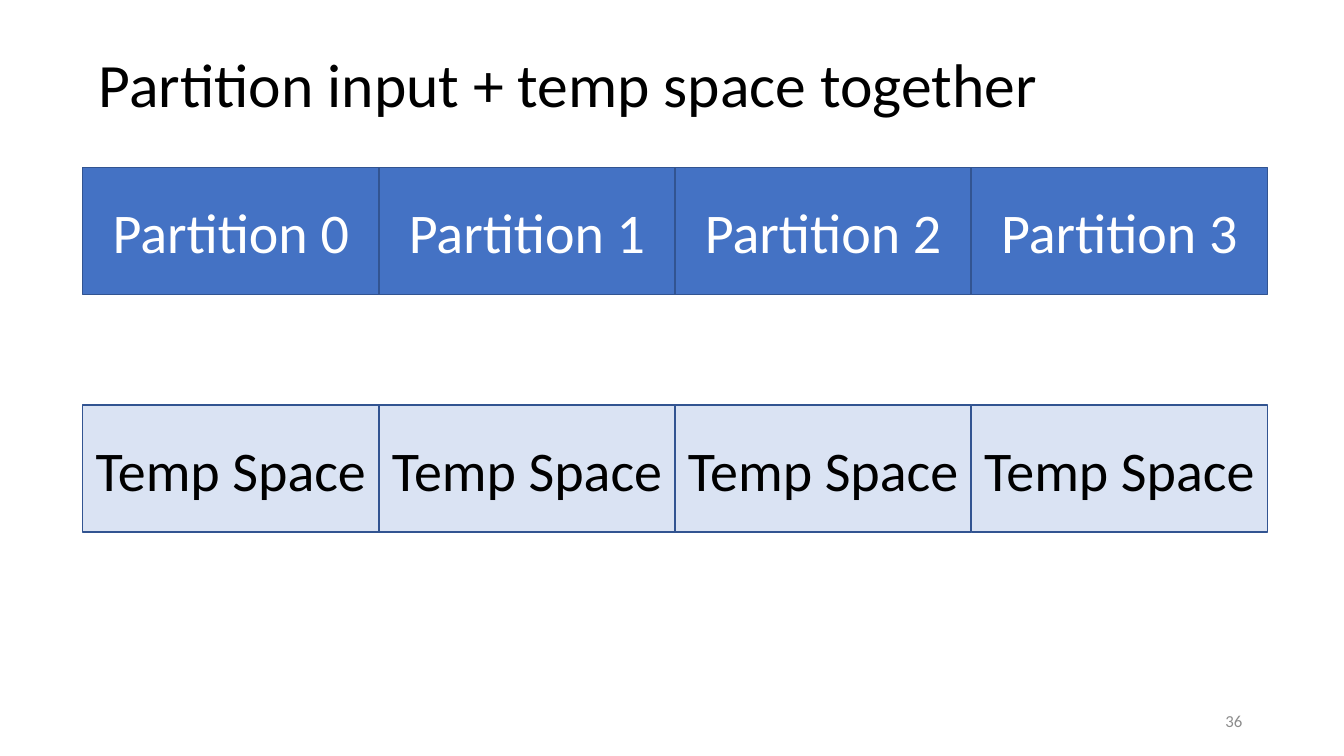
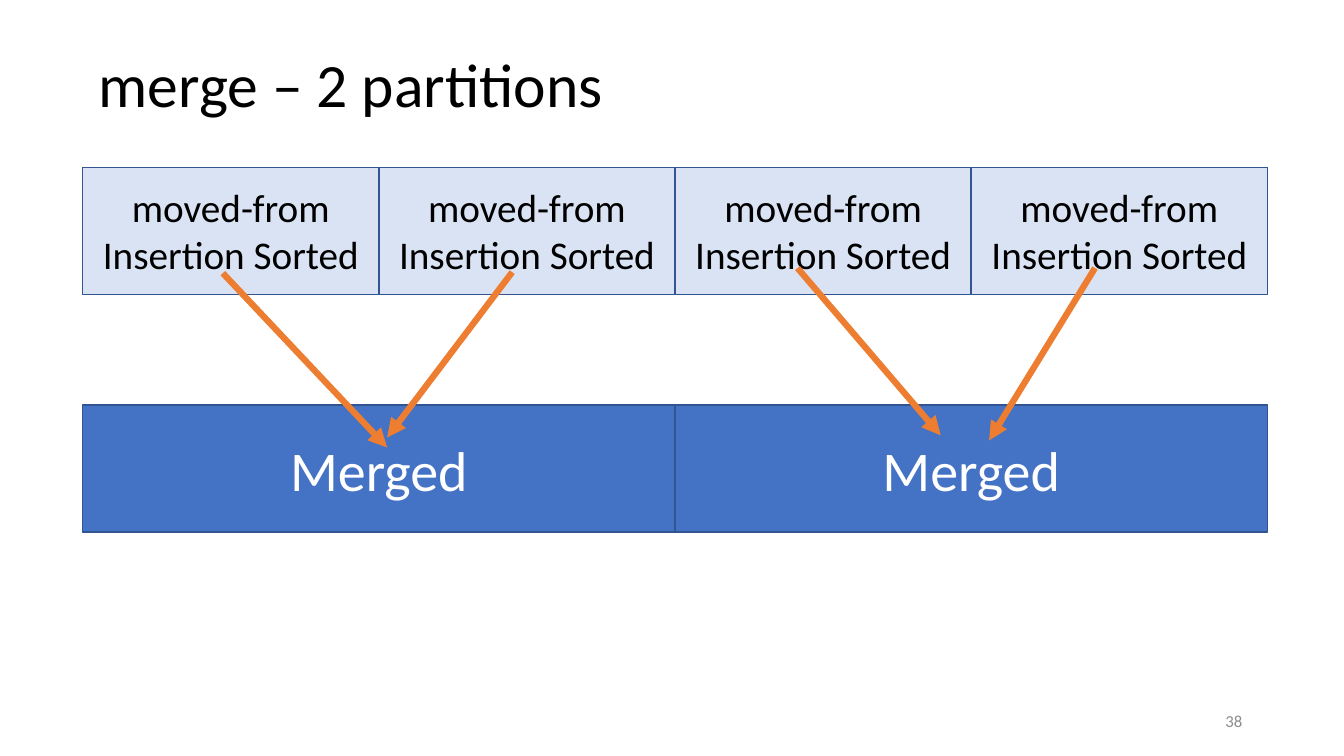
"""Build two slides on partitioning an input and merging its sorted parts."""
from lxml import etree
from pptx import Presentation
from pptx.dml.color import RGBColor
from pptx.enum.shapes import MSO_CONNECTOR, MSO_SHAPE
from pptx.enum.text import MSO_ANCHOR, MSO_AUTO_SIZE, PP_ALIGN
from pptx.oxml.ns import qn
from pptx.util import Inches, Pt

RECTANGLE, STRAIGHT = MSO_SHAPE.RECTANGLE, MSO_CONNECTOR.STRAIGHT
TOP, MIDDLE, NO_FIT = MSO_ANCHOR.TOP, MSO_ANCHOR.MIDDLE, MSO_AUTO_SIZE.NONE
LEFT, CENTER, RIGHT = PP_ALIGN.LEFT, PP_ALIGN.CENTER, PP_ALIGN.RIGHT

FONT = "Calibri"
BLACK, WHITE, GRAY = "000000", "FFFFFF", "8C8C8C"
BLUE, PALE, OUTLINE, ORANGE = "4472C4", "DAE3F3", "325491", "ED7D31"
SLIDE_WIDTH, SLIDE_HEIGHT = 13.33, 7.5
GRID_LEFT, GRID_WIDTH = 0.82, 11.75
BAND_HEIGHT = 1.26
INPUT_TOP, TEMP_TOP = 1.66, 4.02
TITLE_BOX = (0.88, 0.41, 11.86, 0.84)
NUMBER_BOX = (9.42, 6.95, 3, 0.4)

STYLES = {
    "title": {"size": 44, "color": BLACK, "align": LEFT, "anchor": TOP},
    "number": {"size": 12, "color": GRAY, "align": RIGHT, "anchor": MIDDLE},
    "strong": {"size": 40, "color": WHITE, "fill": BLUE},
    "pale": {"size": 40, "color": BLACK, "fill": PALE},
    "pale small": {"size": 28, "color": BLACK, "fill": PALE},
}

SLIDES = [
    {
        "title": "Partition input + temp space together",
        "number": "36",
        "bands": [
            (TEMP_TOP, "pale", ["Temp Space"] * 4),
            (INPUT_TOP, "strong", [f"Partition {index}" for index in range(4)]),
        ],
        "arrows": [],
    },
    {
        "title": "merge – 2 partitions",
        "number": "38",
        "bands": [
            (TEMP_TOP, "strong", ["Merged"] * 2),
            (INPUT_TOP, "pale small", ["moved-from\nInsertion Sorted"] * 4),
        ],
        "arrows": [
            ((2.21, 2.71), (3.84, 4.44)),
            ((10.86, 2.66), (9.81, 4.37)),
            ((7.91, 2.66), (9.33, 4.32)),
            ((5.08, 2.7), (3.84, 4.34)),
        ],
    },
]


def rgb(value):
    """Turn a hex string into a colour."""
    return RGBColor.from_string(value)


def inches(lengths):
    """Turn numbers into lengths in inches."""
    return [Inches(length) for length in lengths]


def write(shape, text, style):
    """Put styled text into a shape."""
    frame = shape.text_frame
    frame.text = text
    frame_format = {
        "word_wrap": True,
        "auto_size": NO_FIT,
        "vertical_anchor": style.get("anchor", MIDDLE),
    }
    for name, value in frame_format.items():
        setattr(frame, name, value)
    font_format = {"name": FONT, "size": Pt(style["size"])}
    for paragraph in frame.paragraphs:
        paragraph.alignment = style.get("align", CENTER)
        for run in paragraph.runs:
            for name, value in font_format.items():
                setattr(run.font, name, value)
            run.font.color.rgb = rgb(style["color"])


def add_title(slide, text):
    """Move and fill the title placeholder."""
    title = slide.shapes.title
    places = zip(("left", "top", "width", "height"), inches(TITLE_BOX))
    for name, value in places:
        setattr(title, name, value)
    write(title, text, STYLES["title"])


def add_band(slide, top, style, labels):
    """Draw a row of equal boxes across the grid."""
    width = GRID_WIDTH / len(labels)
    for column, label in enumerate(labels):
        place = (GRID_LEFT + column * width, top, width, BAND_HEIGHT)
        box = slide.shapes.add_shape(RECTANGLE, *inches(place))
        box.shadow.inherit = False
        box.fill.solid()
        box.fill.fore_color.rgb = rgb(style["fill"])
        box.line.color.rgb = rgb(OUTLINE)
        box.line.width = Pt(1)
        write(box, label, style)


def add_arrow(slide, start, end):
    """Draw a straight arrow without a shadow."""
    arrow = slide.shapes.add_connector(STRAIGHT, *inches(start + end))
    arrow.line.color.rgb = rgb(ORANGE)
    arrow.line.width = Pt(4.5)
    properties = arrow.element.spPr
    etree.SubElement(properties.find(qn("a:ln")), qn("a:tailEnd"), type="triangle")
    etree.SubElement(properties, qn("a:effectLst"))


def build():
    """Build and save the presentation."""
    presentation = Presentation()
    presentation.slide_width = Inches(SLIDE_WIDTH)
    presentation.slide_height = Inches(SLIDE_HEIGHT)
    title_only = presentation.slide_layouts[5]
    for content in SLIDES:
        slide = presentation.slides.add_slide(title_only)
        add_title(slide, content["title"])
        for top, style, labels in content["bands"]:
            add_band(slide, top, STYLES[style], labels)
        number = slide.shapes.add_textbox(*inches(NUMBER_BOX))
        write(number, content["number"], STYLES["number"])
        for start, end in content["arrows"]:
            add_arrow(slide, start, end)
    presentation.save("out.pptx")


build()
